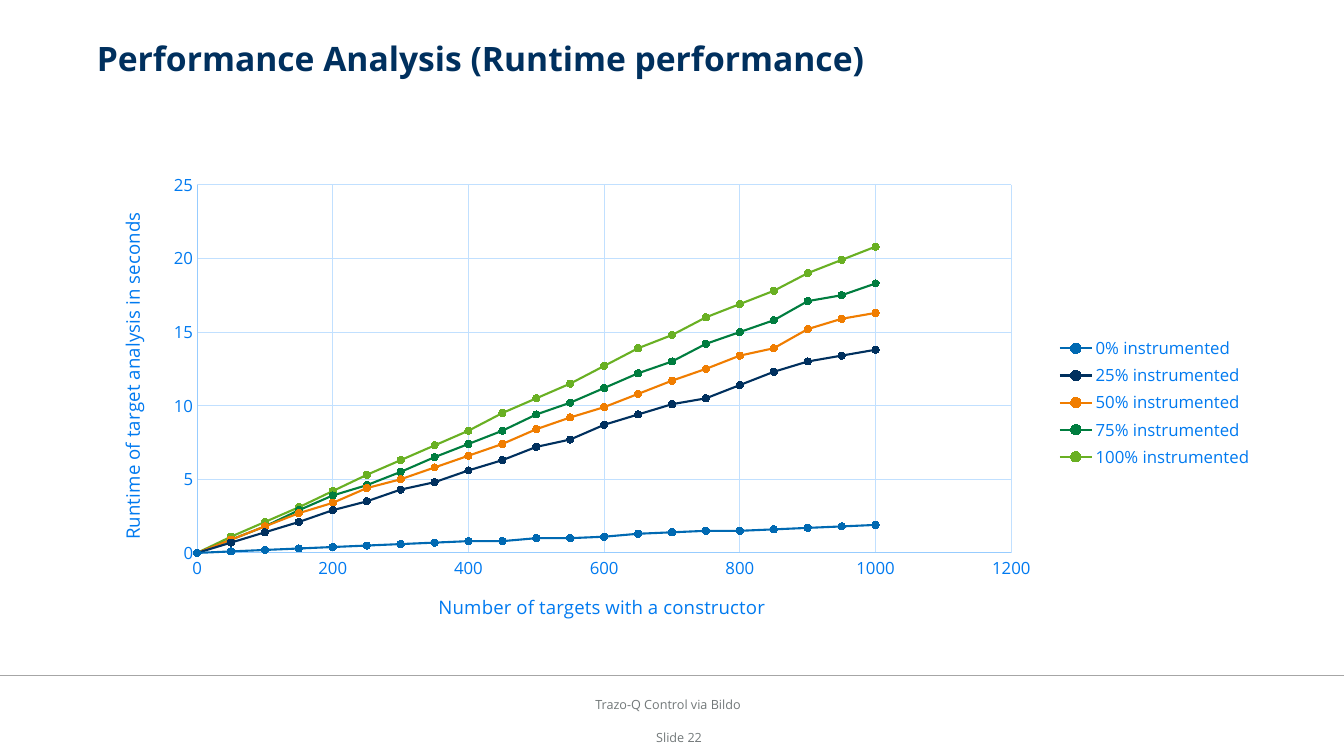
from lxml import etree
from pptx import Presentation
from pptx import util as u
from pptx.chart import data
from pptx.dml.color import RGBColor
from pptx.enum import chart as ch
from pptx.enum import shapes, text
from pptx.oxml import ns

FONT = "Open Sans"
NAVY = RGBColor(0x00, 0x30, 0x5E)
BLUE = RGBColor(0x00, 0x69, 0xB2)
ORANGE = RGBColor(0xF0, 0x7D, 0x00)
GREEN = RGBColor(0x00, 0x7D, 0x3F)
LIME = RGBColor(0x69, 0xB0, 0x23)
LABEL = RGBColor(0x00, 0x7A, 0xF0)
AXIS = RGBColor(0x97, 0xCC, 0xFF)
GRID = RGBColor(0xC1, 0xE0, 0xFF)
GRAY = RGBColor(0x72, 0x78, 0x79)
RULE = RGBColor(0xA6, 0xA6, 0xA6)

STEP = 50
RUNS = [
    ("0%", BLUE, [0, 0.1, 0.2, 0.3, 0.4, 0.5, 0.6, 0.7, 0.8, 0.8, 1, 1, 1.1,
                  1.3, 1.4, 1.5, 1.5, 1.6, 1.7, 1.8, 1.9]),
    ("25%", NAVY, [0, 0.7, 1.4, 2.1, 2.9, 3.5, 4.3, 4.8, 5.6, 6.3, 7.2, 7.7,
                   8.7, 9.4, 10.1, 10.5, 11.4, 12.3, 13, 13.4, 13.8]),
    ("50%", ORANGE, [0, 0.9, 1.8, 2.7, 3.4, 4.4, 5, 5.8, 6.6, 7.4, 8.4, 9.2,
                     9.9, 10.8, 11.7, 12.5, 13.4, 13.9, 15.2, 15.9, 16.3]),
    ("75%", GREEN, [0, 0.9, 1.8, 2.9, 3.9, 4.6, 5.5, 6.5, 7.4, 8.3, 9.4, 10.2,
                    11.2, 12.2, 13, 14.2, 15, 15.8, 17.1, 17.5, 18.3]),
    ("100%", LIME, [0, 1.1, 2.1, 3.1, 4.2, 5.3, 6.3, 7.3, 8.3, 9.5, 10.5, 11.5,
                    12.7, 13.9, 14.8, 16, 16.9, 17.8, 19, 19.9, 20.8]),
]


def style(font, size, color, bold=False):
    """Set the face, size, colour and weight of a font."""
    font.name = FONT
    font.size = u.Pt(size)
    font.bold = bold
    font.color.rgb = color


def write(shape, words, size, color, align, bold=False):
    """Put one run of styled text in a shape without insets."""
    frame = shape.text_frame
    frame.word_wrap = True
    frame.auto_size = text.MSO_AUTO_SIZE.NONE
    frame.vertical_anchor = text.MSO_ANCHOR.TOP
    frame.margin_left = frame.margin_right = 0
    frame.margin_top = frame.margin_bottom = 0
    para = frame.paragraphs[0]
    para.alignment = align
    run = para.add_run()
    run.text = words
    style(run.font, size, color, bold)


def add_title(slide, words):
    """Move and fill the title placeholder."""
    title = slide.shapes.title
    title.left, title.top = u.Inches(0.96), u.Inches(0.38)
    title.width, title.height = u.Inches(11.57), u.Inches(0.75)
    write(title, words, 24, NAVY, text.PP_ALIGN.LEFT, True)


def add_note(slide, words, left, top, width):
    """Add a small centred line of footer text."""
    box = slide.shapes.add_textbox(
        u.Inches(left), u.Inches(top), u.Inches(width), u.Inches(0.17))
    write(box, words, 9, GRAY, text.PP_ALIGN.CENTER)


def add_rule(slide, top):
    """Draw a line across the whole slide."""
    rule = slide.shapes.add_connector(
        shapes.MSO_CONNECTOR.STRAIGHT,
        0, u.Inches(top), u.Inches(13.33), u.Inches(top))
    rule.line.color.rgb = RULE
    rule.line.width = u.Pt(1)
    etree.SubElement(rule._element.spPr, ns.qn("a:effectLst"))


def place(parent, index, **spots):
    """Give a chart part a manual layout in fractions of the chart."""
    for old in parent.findall(ns.qn("c:layout")):
        parent.remove(old)
    layout = etree.Element(ns.qn("c:layout"))
    manual = etree.SubElement(layout, ns.qn("c:manualLayout"))
    modes = {"xMode": "edge", "yMode": "edge"}
    if "w" in spots:
        etree.SubElement(manual, ns.qn("c:layoutTarget")).set("val", "inner")
    for key, val in {**modes, **spots}.items():
        etree.SubElement(manual, ns.qn("c:" + key)).set("val", str(val))
    parent.insert(index, layout)


def set_axis(axis, words, top, unit, x, y):
    """Style an axis, its scale, grid and title."""
    axis.minimum_scale, axis.maximum_scale = 0, top
    axis.major_unit = unit
    axis.major_tick_mark = axis.minor_tick_mark = ch.XL_TICK_MARK.NONE
    axis.has_major_gridlines = True
    for line, color in ((axis.format.line, AXIS),
                        (axis.major_gridlines.format.line, GRID)):
        line.color.rgb = color
        line.width = u.Pt(0.75)
    style(axis.tick_labels.font, 12, LABEL)
    title = axis.axis_title
    run = title.text_frame.paragraphs[0].add_run()
    run.text = words
    style(run.font, 13.3, LABEL)
    place(title._element, 1, x=x, y=y)


def set_series(series, color):
    """Colour a series with its line and round markers."""
    series.smooth = False
    series.format.line.color.rgb = color
    series.format.line.width = u.Pt(1.5)
    mark = series.marker
    mark.style = ch.XL_MARKER_STYLE.CIRCLE
    mark.size = 5
    mark.format.fill.solid()
    mark.format.fill.fore_color.rgb = color
    mark.format.line.color.rgb = color


def add_plot(slide):
    """Add the scatter chart of runtimes."""
    table = data.XyChartData()
    for share, _, vals in RUNS:
        series = table.add_series(share + " instrumented")
        for i, val in enumerate(vals):
            series.add_data_point(i * STEP, val)
    chart = slide.shapes.add_chart(
        ch.XL_CHART_TYPE.XY_SCATTER_LINES, u.Inches(0.96), u.Inches(1.62),
        u.Inches(11.57), u.Inches(4.75), table).chart
    style(chart.font, 10, NAVY)
    chart.has_title = False
    plot = chart.plots[0]
    plot.vary_by_categories = False
    for series, (_, color, _) in zip(plot.series, RUNS):
        set_series(series, color)
    set_axis(chart.category_axis, "Number of targets with a constructor",
             1200, 200, 0.29, 0.89)
    set_axis(chart.value_axis, "Runtime of target analysis in seconds",
             25, 5, 0.015, 0.095)
    chart.has_legend = True
    chart.legend.position = ch.XL_LEGEND_POSITION.RIGHT
    chart.legend.include_in_layout = False
    style(chart.legend.font, 12, LABEL)
    area = chart._chartSpace.find(".//" + ns.qn("c:plotArea"))
    place(area, 0, x=0.086, y=0.045, w=0.698, h=0.769)


def main():
    """Build the slide and save it."""
    deck = Presentation()
    deck.slide_width, deck.slide_height = u.Inches(13.33), u.Inches(7.5)
    slide = deck.slides.add_slide(deck.slide_layouts[5])
    add_title(slide, "Performance Analysis (Runtime performance)")
    add_plot(slide)
    add_rule(slide, 6.7)
    add_note(slide, "Trazo-Q Control via Bildo", 2.69, 6.91, 7.87)
    add_note(slide, "Slide 22", 6.4, 7.24, 0.67)
    deck.save("out.pptx")


if __name__ == "__main__":
    main()
